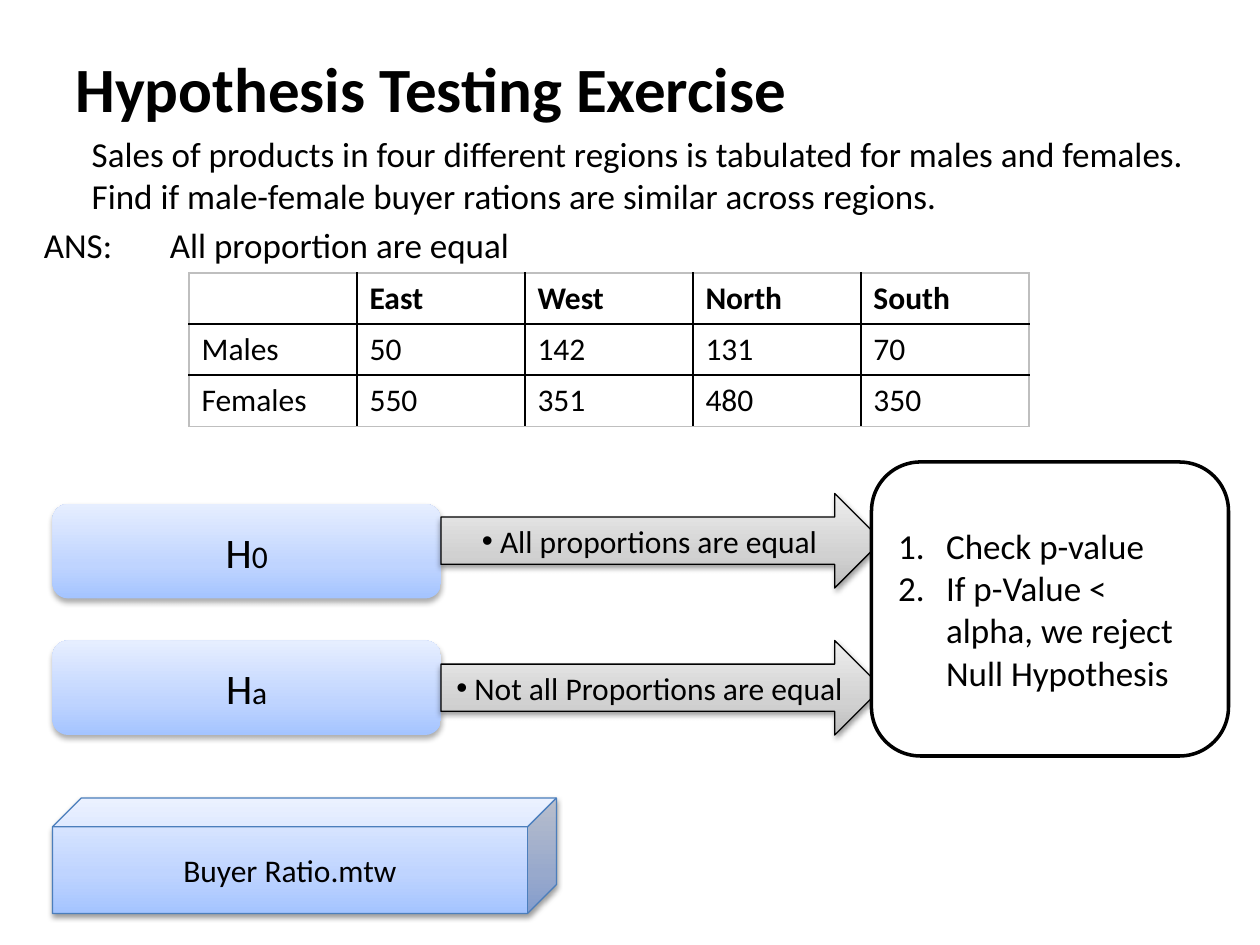
from dataclasses import dataclass
from typing import NamedTuple

from lxml import etree
from pptx import Presentation
from pptx.dml.color import RGBColor
from pptx.enum.shapes import MSO_SHAPE
from pptx.enum.text import MSO_ANCHOR, PP_ALIGN
from pptx.oxml.ns import qn
from pptx.util import Inches, Pt

BLACK = RGBColor(0x00, 0x00, 0x00)
WHITE = RGBColor(0xFF, 0xFF, 0xFF)
GREY = RGBColor(0xBF, 0xBF, 0xBF)
EDGE_BLUE = RGBColor(0x4B, 0x7E, 0xBC)
BLUES = (RGBColor(0xA4, 0xC4, 0xFF), RGBColor(0xBF, 0xD4, 0xFF), RGBColor(0xE6, 0xEE, 0xFF))
GREYS = (RGBColor(0xBD, 0xBD, 0xBD), RGBColor(0xD1, 0xD1, 0xD1), RGBColor(0xEE, 0xEE, 0xEE))
STOPS = (0, 35, 100)

ROUND, ARROW, CUBE = MSO_SHAPE.ROUNDED_RECTANGLE, MSO_SHAPE.RIGHT_ARROW, MSO_SHAPE.CUBE
LEFT, CENTER = PP_ALIGN.LEFT, PP_ALIGN.CENTER
TOP, MIDDLE = MSO_ANCHOR.TOP, MSO_ANCHOR.MIDDLE

FONT = "Calibri"
WIDTH, HEIGHT = Inches(10), Inches(7.5)
COLS, ROWS = 120, 90
HANG = 0.38


class Box(NamedTuple):
    col: float
    row: float
    cols: float
    rows: float

    def emu(self) -> tuple:
        return (int(WIDTH * self.col / COLS), int(HEIGHT * self.row / ROWS),
                int(WIDTH * self.cols / COLS), int(HEIGHT * self.rows / ROWS))


class Shadow(NamedTuple):
    alpha: int
    blur: float
    dist: float


class Run(NamedTuple):
    text: str
    size: float


@dataclass(frozen=True)
class Para:
    runs: tuple
    left: float = 0
    indent: float = 0
    before: float = 0
    bullet: str = ""
    tab: float = 0


@dataclass(frozen=True)
class Panel:
    kind: int
    box: Box
    paras: tuple
    colors: tuple
    line: RGBColor | None = None
    weight: float = 0.75
    shadow: Shadow | None = None
    align: int = CENTER


SOFT, CRISP = Shadow(32, 3.5, 2.2), Shadow(38, 3.1, 1.6)


def sub(parent, tag: str, **attrs):
    return etree.SubElement(parent, qn(tag), {k: str(v) for k, v in attrs.items()})


def write(tf, paras: tuple, *, align=LEFT, anchor=TOP, bold=False) -> None:
    tf.word_wrap = True
    tf.vertical_anchor = anchor
    for i, para in enumerate(paras):
        p = tf.paragraphs[0] if i == 0 else tf.add_paragraph()
        p.alignment = align
        p.space_before = Pt(para.before)
        pPr = p._p.get_or_add_pPr()
        pPr.set("marL", str(Inches(para.left)))
        pPr.set("indent", str(Inches(para.indent)))
        if para.bullet == "1.":
            sub(pPr, "a:buFont", typeface="+mj-lt")
            sub(pPr, "a:buAutoNum", type="arabicPeriod")
        elif para.bullet:
            sub(pPr, "a:buFont", typeface="Arial")
            sub(pPr, "a:buChar", char=para.bullet)
        if para.tab:
            sub(sub(pPr, "a:tabLst"), "a:tab", pos=Inches(para.tab), algn="l")
        for run in para.runs:
            r = p.add_run()
            r.text = run.text
            r.font.name, r.font.size, r.font.bold = FONT, Pt(run.size), bold
            r.font.color.rgb = BLACK


def add_text(s, box: Box, paras: tuple, **fmt) -> None:
    write(s.shapes.add_textbox(*box.emu()).text_frame, paras, **fmt)


def paint(sp, colors: tuple) -> None:
    if len(colors) == 1:
        sp.fill.solid()
        sp.fill.fore_color.rgb = colors[0]
        return
    sp.fill.gradient()
    sp.fill.gradient_angle = 90
    stops = sp._element.spPr.find(qn("a:gradFill")).find(qn("a:gsLst"))
    for gs in list(stops):
        stops.remove(gs)
    for pos, color in zip(STOPS, colors):
        sub(sub(stops, "a:gs", pos=pos * 1000), "a:srgbClr", val=color)


def cast_shadow(sp, shadow: Shadow) -> None:
    effects = sp._element.spPr.find(qn("a:effectLst"))
    outer = sub(effects, "a:outerShdw", blurRad=Pt(shadow.blur), dist=Pt(shadow.dist),
                dir=90 * 60000, rotWithShape=0)
    sub(sub(outer, "a:srgbClr", val=BLACK), "a:alpha", val=shadow.alpha * 1000)


def add_panel(s, panel: Panel) -> None:
    sp = s.shapes.add_shape(panel.kind, *panel.box.emu())
    sp.shadow.inherit = False
    paint(sp, panel.colors)
    if panel.line is None:
        sp.line.fill.background()
    else:
        sp.line.color.rgb = panel.line
        sp.line.width = Pt(panel.weight)
    if panel.shadow:
        cast_shadow(sp, panel.shadow)
    write(sp.text_frame, panel.paras, align=panel.align, anchor=MIDDLE)


def add_border(cell, edge: str, color: RGBColor) -> None:
    ln = sub(cell._tc.get_or_add_tcPr(), f"a:{edge}", w=Pt(1))
    sub(sub(ln, "a:solidFill"), "a:srgbClr", val=color)


def add_grid(s, box: Box, data: tuple) -> None:
    n, m = len(data), len(data[0])
    table = s.shapes.add_table(n, m, *box.emu()).table
    for i, values in enumerate(data):
        for j, value in enumerate(values):
            cell = table.cell(i, j)
            outer = {"lnL": j == 0, "lnR": j == m - 1, "lnT": i == 0, "lnB": i == n - 1}
            for edge, is_outer in outer.items():
                add_border(cell, edge, GREY if is_outer else BLACK)
            cell.fill.background()
            write(cell.text_frame, (Para((Run(value, 18),)),), bold=i == 0)


TITLE = (Para((Run("Hypothesis Testing Exercise", 36),)),)
BODY = (
    Para((Run("Sales of products in four different regions is tabulated for males and females. "
              "Find if male-female buyer rations are similar across regions.", 20),),
         left=HANG, before=4),
    Para((Run("ANS:\tAll proportion are equal", 20),), before=4, tab=0.73),
)
SALES = (
    ("", "East", "West", "North", "South"),
    ("Males", "50", "142", "131", "70"),
    ("Females", "550", "351", "480", "350"),
)
STEPS = tuple(Para((Run(text, 20),), left=HANG, indent=-HANG, bullet="1.")
              for text in ("Check p-value", "If p-Value < alpha, we reject Null Hypothesis"))
HYPOTHESES = (("0", 48, 47, " All proportions are equal"),
              ("a", 61, 61, " Not all Proportions are equal"))

LABELS = tuple(Panel(ROUND, Box(5, row, 37, 9), (Para((Run("H", 24), Run(mark, 18))),),
                     BLUES, shadow=SOFT) for mark, row, _, _ in HYPOTHESES)
CLAIMS = tuple(Panel(ARROW, Box(42, row, 42, 9), (Para((Run(text, 18),), bullet="•"),),
                     GREYS, BLACK, shadow=CRISP) for _, _, row, text in HYPOTHESES)
DECISION = Panel(ROUND, Box(83, 44, 34, 28), STEPS, (WHITE,), BLACK, 2, align=LEFT)
DATA_FILE = Panel(CUBE, Box(5, 76, 48, 11), (Para((Run("Buyer Ratio.mtw", 18),)),),
                  BLUES, EDGE_BLUE, shadow=CRISP)


def main() -> None:
    prs = Presentation()
    prs.slide_width, prs.slide_height = WIDTH, HEIGHT
    s = prs.slides.add_slide(prs.slide_layouts[6])
    add_text(s, Box(6, 3.6, 108, 9.4), TITLE, anchor=MIDDLE, bold=True)
    add_text(s, Box(3, 12, 115, 75), BODY)
    add_grid(s, Box(18, 26, 80, 14.6), SALES)
    for panel in (*LABELS, *CLAIMS, DECISION, DATA_FILE):
        add_panel(s, panel)
    prs.save("out.pptx")


if __name__ == "__main__":
    main()
